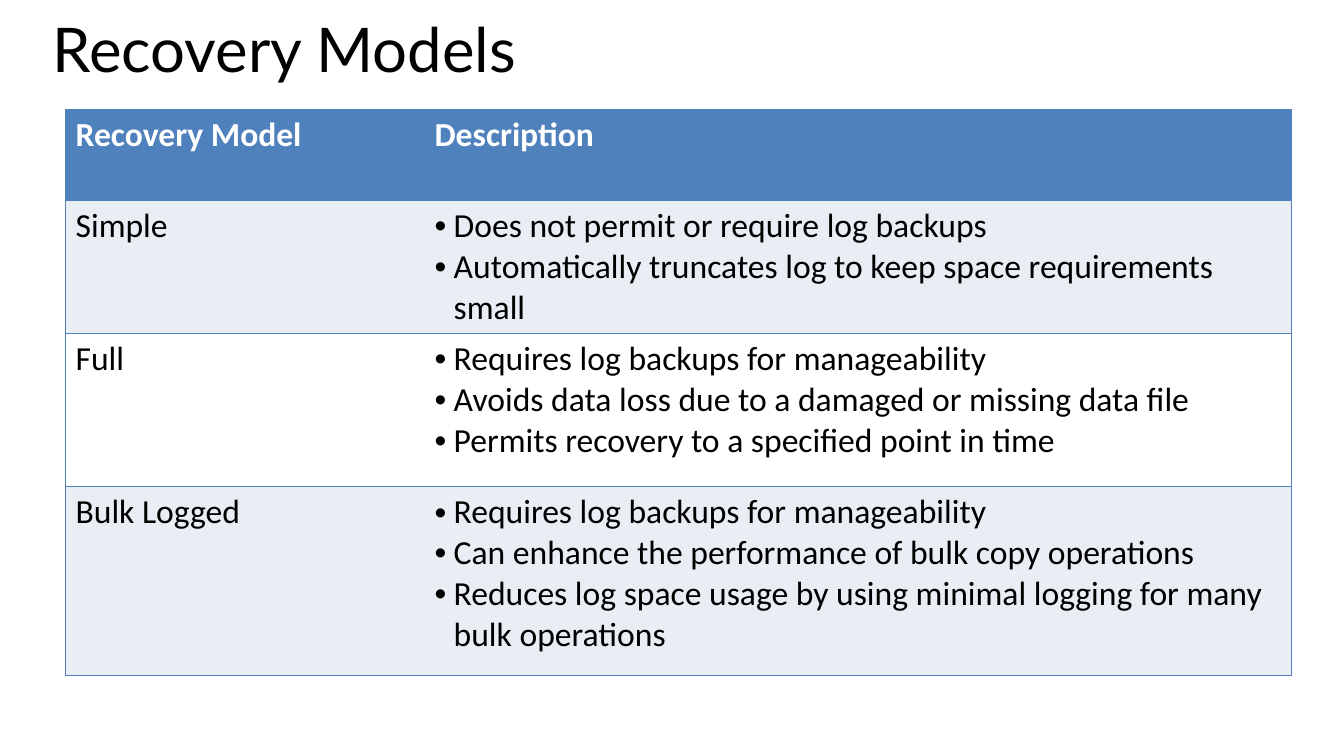
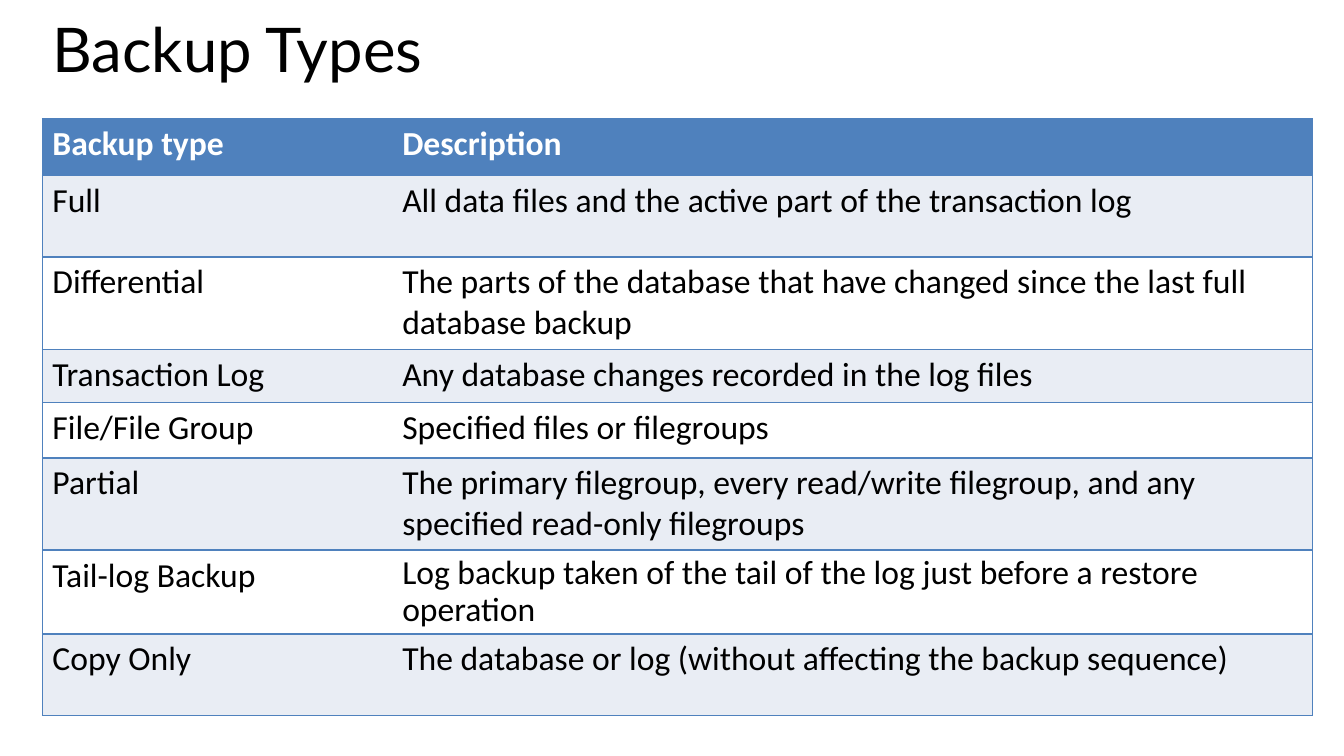
import pptx
import pptx.util
import pptx.dml.color
import pptx.enum.text
import pptx.oxml.ns
import lxml.etree

Inches = pptx.util.Inches
Pt = pptx.util.Pt
qn = pptx.oxml.ns.qn

BLUE = "4F81BD"
PALE = "E9EDF4"
WHITE = "FFFFFF"
BLACK = "000000"
TITLE_FONT = "Lato"
TABLE_FONT = "Calibri"

RECOVERY_MODELS = [
    ("Recovery Model", "Description"),
    ("Simple", [
        "Does not permit or require log backups",
        "Automatically truncates log to keep space requirements small",
    ]),
    ("Full", [
        "Requires log backups for manageability",
        "Avoids data loss due to a damaged or missing data file",
        "Permits recovery to a specified point in time",
    ]),
    ("Bulk Logged", [
        "Requires log backups for manageability",
        "Can enhance the performance of bulk copy operations",
        "Reduces log space usage by using minimal logging for many bulk operations",
    ]),
]

BACKUP_TYPES = [
    ("Backup type", "Description"),
    ("Full", "All data files and the active part of the transaction log"),
    ("Differential", "The parts of the database that have changed since the last full database backup"),
    ("Transaction Log", "Any database changes recorded in the log files"),
    ("File/File Group", "Specified files or filegroups"),
    ("Partial", "The primary filegroup, every read/write filegroup, and any specified read-only filegroups"),
    ("Tail-log Backup", "Log backup taken of the tail of the log just before a restore operation"),
    ("Copy Only", "The database or log (without affecting the backup sequence)"),
]


def color(value):
    return pptx.dml.color.RGBColor.from_string(value)


def set_font(paragraph, name, size, font_color, bold=False):
    font = paragraph.font
    font.name = name
    font.size = Pt(size)
    font.bold = bold
    font.color.rgb = color(font_color)


def add_titled_slide(presentation, text):
    slide = presentation.slides.add_slide(presentation.slide_layouts[5])
    title = slide.shapes.title
    title.left, title.top = Inches(0.42), Inches(0.2)
    title.width, title.height = Inches(12.6), Inches(1.16)
    frame = title.text_frame
    frame.text = text
    frame.word_wrap = True
    frame.auto_size = pptx.enum.text.MSO_AUTO_SIZE.NONE
    frame.vertical_anchor = pptx.enum.text.MSO_ANCHOR.TOP
    paragraph = frame.paragraphs[0]
    paragraph.alignment = pptx.enum.text.PP_ALIGN.LEFT
    paragraph.line_spacing = 0.8
    set_font(paragraph, TITLE_FONT, 44, BLACK)
    return slide


def set_borders(cell, visible_sides):
    properties = cell._tc.get_or_add_tcPr()
    for side in "LRTB":
        line = lxml.etree.SubElement(properties, qn(f"a:ln{side}"), w=str(Pt(1)))
        if side in visible_sides:
            fill = lxml.etree.SubElement(line, qn("a:solidFill"))
            lxml.etree.SubElement(fill, qn("a:srgbClr"), val=BLUE)
        else:
            lxml.etree.SubElement(line, qn("a:noFill"))


def add_bullet(paragraph, indent):
    properties = paragraph._p.get_or_add_pPr()
    properties.set("marL", str(Inches(indent)))
    properties.set("indent", str(-Inches(indent)))
    lxml.etree.SubElement(properties, qn("a:buFont"), typeface="Arial")
    lxml.etree.SubElement(properties, qn("a:buChar"), char="•")


def fill_cell(cell, content, fill_color, font_color, bold):
    bulleted = isinstance(content, list)
    cell.text = "\n".join(content) if bulleted else content
    for paragraph in cell.text_frame.paragraphs:
        if bulleted:
            add_bullet(paragraph, 0.19)
        set_font(paragraph, TABLE_FONT, 24, font_color, bold)
    cell.fill.solid()
    cell.fill.fore_color.rgb = color(fill_color)


def add_description_table(slide, rows, left, top, column_widths, row_heights):
    frame = slide.shapes.add_table(
        len(rows), len(column_widths), Inches(left), Inches(top),
        Inches(sum(column_widths)), Inches(sum(row_heights)))
    table = frame.table
    table.first_row = False
    table.horz_banding = False
    for column, width in zip(table.columns, column_widths):
        column.width = Inches(width)
    for row, height in zip(table.rows, row_heights):
        row.height = Inches(height)
    for row_index, contents in enumerate(rows):
        header = row_index == 0
        fill_color = BLUE if header else (WHITE, PALE)[row_index % 2]
        font_color = WHITE if header else BLACK
        for column_index, content in enumerate(contents):
            cell = table.cell(row_index, column_index)
            set_borders(cell, ("LTB", "RTB")[column_index])
            fill_cell(cell, content, fill_color, font_color, header)
    return table


def main():
    presentation = pptx.Presentation()
    presentation.slide_width = Inches(13.33)
    presentation.slide_height = Inches(7.5)

    slide = add_titled_slide(presentation, "Recovery Models")
    add_description_table(slide, RECOVERY_MODELS, 0.65, 1.09,
                          (3.56, 8.6), (0.9, 1.17, 1.52, 1.87))

    slide = add_titled_slide(presentation, "Backup Types")
    backup_table = add_description_table(
        slide, BACKUP_TYPES, 0.42, 1.18, (3.47, 9.13),
        (0.56, 0.81, 0.88, 0.53, 0.55, 0.88, 0.8, 0.81))
    tail_log_description = backup_table.cell(6, 1).text_frame.paragraphs[0]
    tail_log_description.line_spacing = 0.9

    presentation.save("out.pptx")


main()
